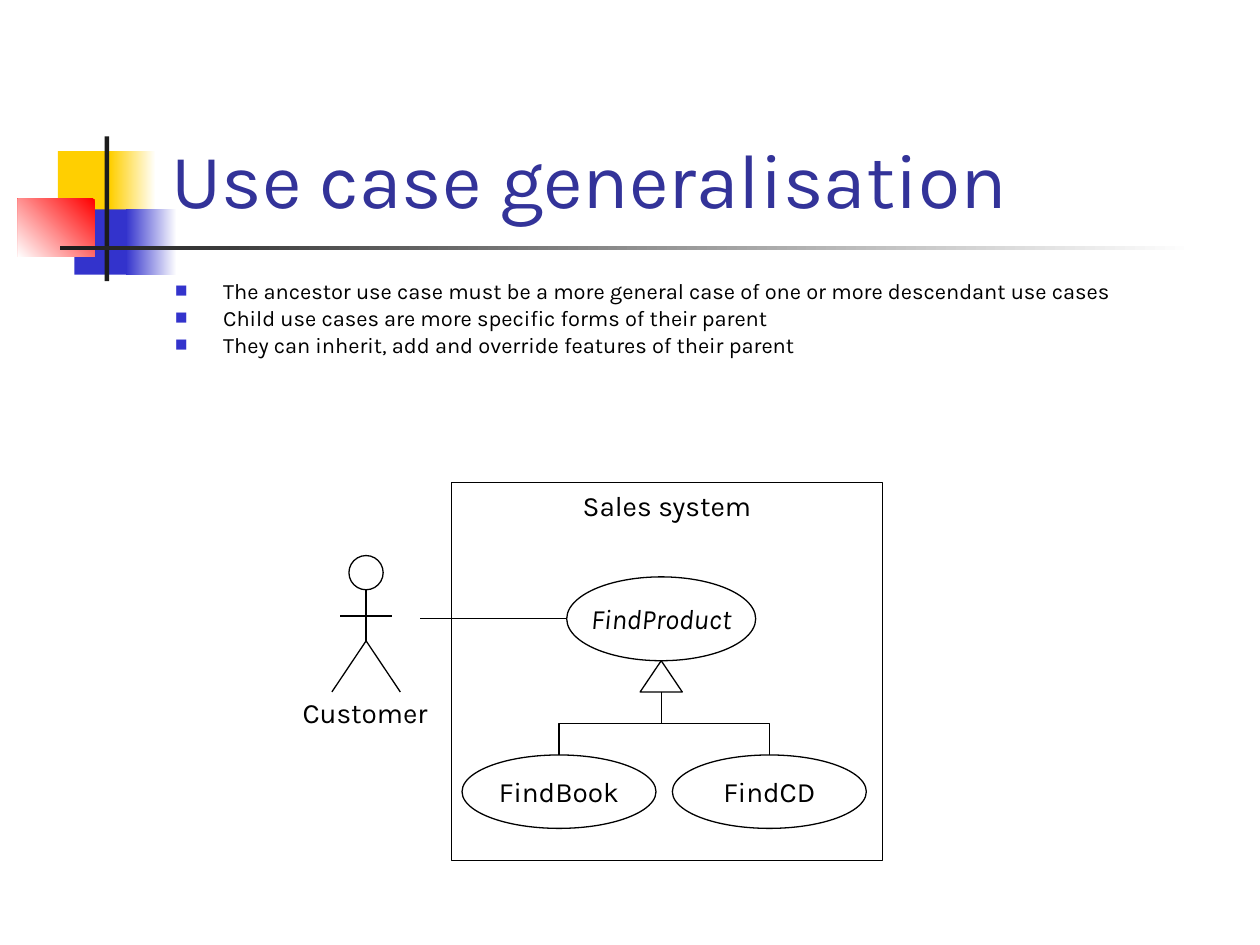
import lxml.etree
import pptx
import pptx.dml.color
import pptx.enum.shapes
import pptx.enum.text
import pptx.oxml.ns
import pptx.util

Cm = pptx.util.Cm
Pt = pptx.util.Pt
SHAPE = pptx.enum.shapes.MSO_SHAPE
CONNECTOR = pptx.enum.shapes.MSO_CONNECTOR
ANCHOR = pptx.enum.text.MSO_ANCHOR
ALIGN = pptx.enum.text.PP_ALIGN
AUTO_SIZE = pptx.enum.text.MSO_AUTO_SIZE

COLOURS = {
    "white": "FFFFFF",
    "black": "000000",
    "charcoal": "1C1C1C",
    "yellow": "FFCF01",
    "blue": "3333CC",
    "red": "FF0000",
    "title": "333399",
}


def rgb(name):
    return pptx.dml.color.RGBColor.from_string(COLOURS[name])


def add_child(parent, tag, **attributes):
    child = lxml.etree.SubElement(parent, pptx.oxml.ns.qn(tag))
    for key, value in attributes.items():
        child.set(key, value)
    return child


def write(frame, text, size=16, colour="black", font="Karla", italic=False,
          align=ALIGN.CENTER, anchor=ANCHOR.TOP, wrap=False,
          line_spacing=None, space_before=None, bullet=None, indent=0.97):
    frame.text = text
    frame.word_wrap = wrap
    frame.auto_size = AUTO_SIZE.NONE
    frame.vertical_anchor = anchor
    for paragraph in frame.paragraphs:
        paragraph.alignment = align
        paragraph.line_spacing = line_spacing
        paragraph.space_before = space_before
        for run in paragraph.runs:
            run.font.name = font
            run.font.size = Pt(size)
            run.font.italic = italic
            run.font.color.rgb = rgb(colour)
        if bullet:
            properties = paragraph._p.get_or_add_pPr()
            properties.set("marL", str(Cm(indent)))
            properties.set("indent", str(-Cm(indent)))
            bullet_colour = add_child(properties, "a:buClr")
            add_child(bullet_colour, "a:srgbClr", val=COLOURS["blue"])
            add_child(properties, "a:buSzPct", val="60000")
            add_child(properties, "a:buFont", typeface=font)
            add_child(properties, "a:buChar", char=bullet)


class Diagram:
    line_width = Pt(0.75)
    line_colour = "black"

    def __init__(self, slide):
        self.slide = slide
        self.target = slide.shapes

    def title(self, text, left, top, width, height):
        title = self.slide.shapes.title
        title.left, title.top = Cm(left), Cm(top)
        title.width, title.height = Cm(width), Cm(height)
        write(title.text_frame, text, size=44, colour="title", wrap=True,
              align=ALIGN.LEFT, anchor=ANCHOR.BOTTOM)

    def text(self, text, left, top, width, height, **style):
        box = self.target.add_textbox(Cm(left), Cm(top), Cm(width), Cm(height))
        write(box.text_frame, text, **style)

    def shape(self, kind, left, top, width, height, fill="white", label=None, **style):
        shape = self.target.add_shape(kind, Cm(left), Cm(top), Cm(width), Cm(height))
        shape.shadow.inherit = False
        if fill:
            shape.fill.solid()
            shape.fill.fore_color.rgb = rgb(fill)
        else:
            shape.fill.background()
        shape.line.width = self.line_width
        shape.line.color.rgb = rgb(self.line_colour)
        if label:
            write(shape.text_frame, label, **style)
        return shape

    def block(self, left, top, width, height, colour, fade_to=None, angle=0):
        block = self.shape(SHAPE.RECTANGLE, left, top, width, height, fill=colour)
        block.line.fill.background()
        if fade_to:
            block.fill.gradient()
            block.fill.gradient_angle = angle
            for stop, name, position in zip(block.fill.gradient_stops, (colour, fade_to), (0, 1)):
                stop.color.rgb = rgb(name)
                stop.position = position

    def use_case(self, label, centre, top, width, height, italic=False):
        self.shape(SHAPE.OVAL, centre - width / 2, top, width, height,
                   label=label, anchor=ANCHOR.MIDDLE, italic=italic)

    def line(self, x1, y1, x2, y2, kind=CONNECTOR.STRAIGHT):
        line = self.target.add_connector(kind, Cm(x1), Cm(y1), Cm(x2), Cm(y2))
        line.line.width = self.line_width
        line.line.color.rgb = rgb(self.line_colour)
        add_child(line._element.spPr, "a:effectLst")
        return line

    def vertical_elbow(self, x1, y1, x2, y2):
        middle_x, middle_y = (x1 + x2) / 2, (y1 + y2) / 2
        half_x, half_y = (x1 - x2) / 2, (y1 - y2) / 2
        elbow = self.line(middle_x + half_y, middle_y - half_x,
                          middle_x - half_y, middle_y + half_x, CONNECTOR.ELBOW)
        elbow._element.spPr.find(pptx.oxml.ns.qn("a:xfrm")).set("rot", "5400000")

    def actor(self, name, centre, top):
        self.target = self.slide.shapes.add_group_shape().shapes
        head, limb, arm = 0.69, 0.69, 0.52
        neck = top + head
        hip = neck + 1.03
        self.shape(SHAPE.OVAL, centre - head / 2, top, head, head, fill=None)
        self.line(centre, neck, centre, hip)
        for side in (1, -1):
            self.line(centre, hip, centre + side * limb, hip + 1.03)
        self.line(centre - arm, neck + 0.53, centre + arm, neck + 0.53)
        self.text(name, centre - 1.57, 13.89, 3.1, 0.94)
        self.target = self.slide.shapes


def main():
    presentation = pptx.Presentation()
    presentation.slide_width, presentation.slide_height = Cm(25.4), Cm(19.05)
    slide = presentation.slides.add_slide(presentation.slide_layouts[5])
    diagram = Diagram(slide)

    diagram.block(1.17, 3.05, 1.22, 1.32, "yellow")
    diagram.block(2.22, 3.05, 0.92, 1.32, "white", "yellow", 180)
    diagram.block(1.5, 4.22, 1.17, 1.32, "blue")
    diagram.block(2.54, 4.22, 1.02, 1.32, "white", "blue", 180)
    diagram.block(0.36, 4.01, 1.55, 1.17, "red", "white", 225)
    diagram.block(2.11, 2.75, 0.09, 2.92, "charcoal")
    diagram.block(1.22, 4.95, 22.86, 0.09, "white", "charcoal", 180)

    diagram.title("Use case generalisation", 3.2, 0.58, 21.64, 4.06)
    points = (
        "The ancestor use case must be a more general case of one or more descendant use cases",
        "Child use cases are more specific forms of their parent",
        "They can inherit, add and override features of their parent",
    )
    diagram.text("\n".join(points), 3.28, 5.61, 21.59, 1.96, size=12.5, wrap=True,
                 align=ALIGN.LEFT, line_spacing=0.7, space_before=Pt(5), bullet="■")

    diagram.shape(SHAPE.RECTANGLE, 9.1, 9.73, 8.69, 7.62, label="Sales system")
    parent_centre, child_top = 13.33, 15.22
    children = {"FindBook": 11.27, "FindCD": 15.51}
    diagram.use_case("FindProduct", parent_centre, 11.63, 3.81, 1.69, italic=True)
    for child, centre in children.items():
        diagram.use_case(child, centre, child_top, 3.91, 1.48)

    diagram.actor("Customer", 7.38, 11.2)

    arrow_width, arrow_base = 0.85, 13.95
    diagram.shape(SHAPE.ISOSCELES_TRIANGLE, parent_centre - arrow_width / 2, 13.32,
                  arrow_width, arrow_base - 13.32)
    for centre in children.values():
        diagram.vertical_elbow(centre, child_top, parent_centre, arrow_base)
    diagram.line(8.47, 12.47, 11.43, 12.47)

    presentation.save("out.pptx")


if __name__ == "__main__":
    main()
